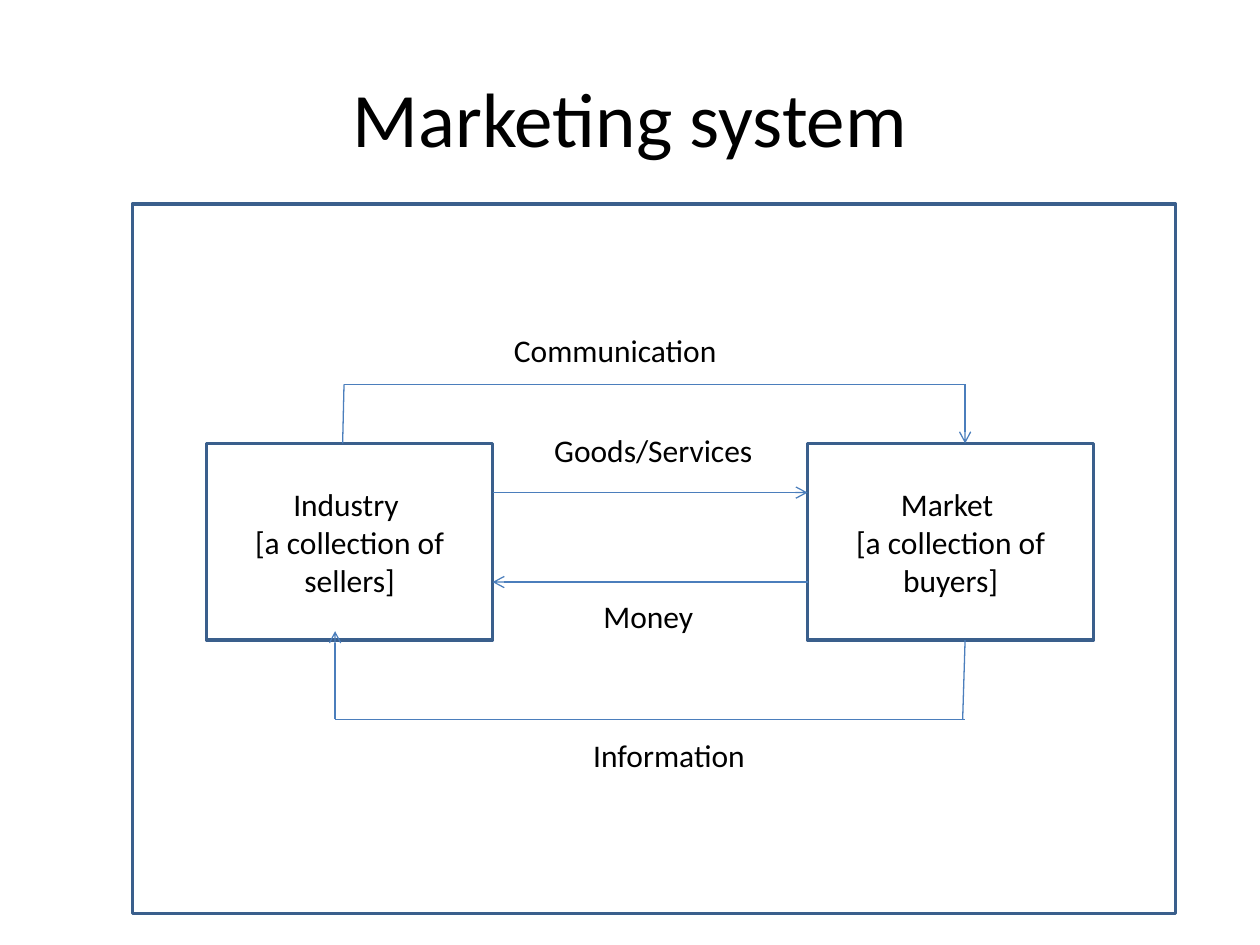
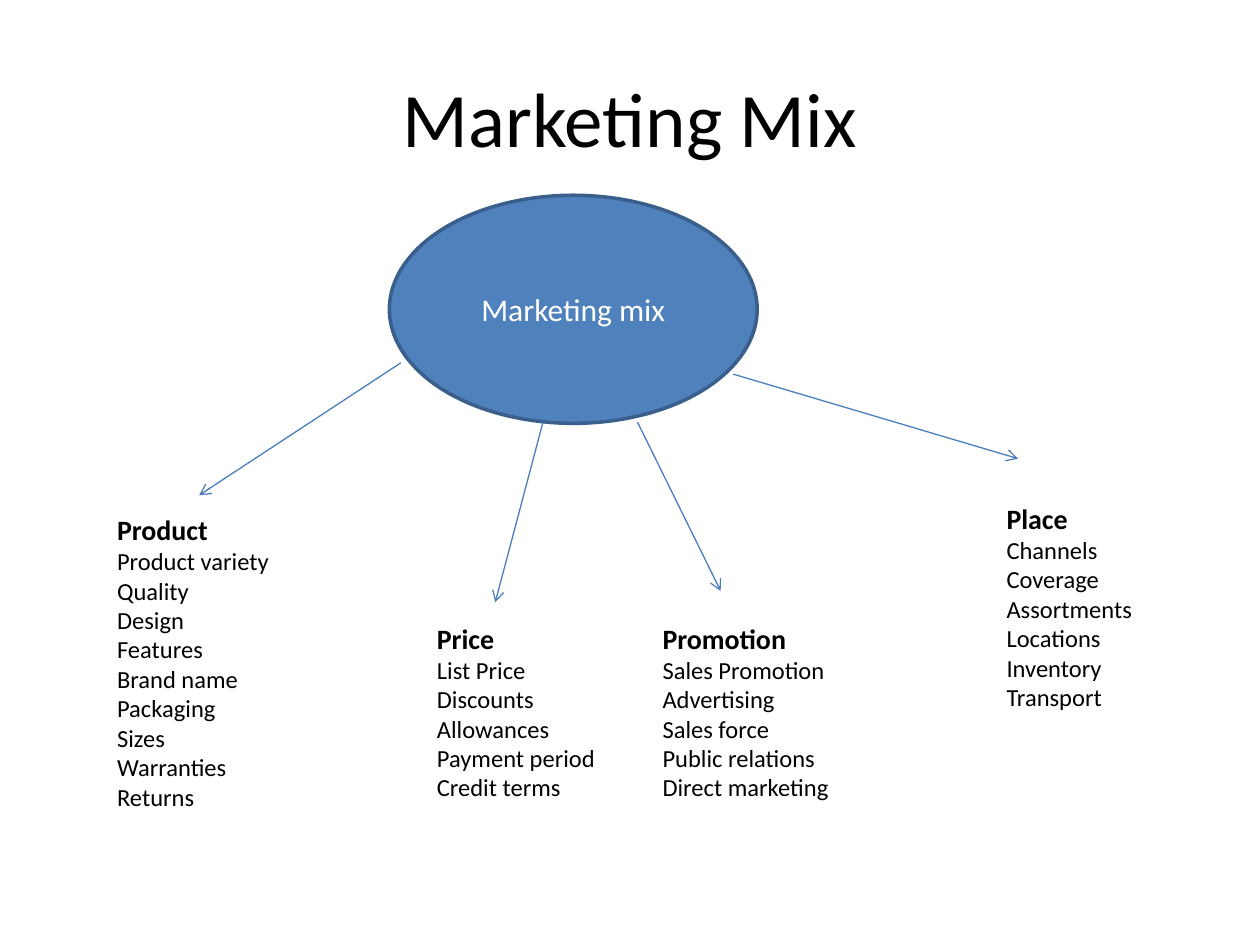
from dataclasses import dataclass

from lxml import etree
from pptx import Presentation
from pptx.dml.color import RGBColor
from pptx.enum.shapes import MSO_CONNECTOR, MSO_SHAPE
from pptx.enum.text import MSO_ANCHOR, PP_ALIGN
from pptx.oxml.ns import qn
from pptx.util import Pt


@dataclass(frozen=True)
class Theme:
    font: str = "Calibri"
    ink: RGBColor = RGBColor(0x00, 0x00, 0x00)
    paper: RGBColor = RGBColor(0xFF, 0xFF, 0xFF)
    accent: RGBColor = RGBColor(0x4F, 0x81, 0xBD)
    border: RGBColor = RGBColor(0x3A, 0x5F, 0x8C)
    arrow: RGBColor = RGBColor(0x4B, 0x7E, 0xBC)
    title: int = 44
    body: int = 18
    heading: int = 16
    item: int = 14
    border_width: float = 2
    arrow_width: float = 0.75


theme = Theme()


def write(tf, lines, size, color=theme.ink, align=PP_ALIGN.LEFT, anchor=MSO_ANCHOR.TOP):
    tf.word_wrap = True
    tf.vertical_anchor = anchor
    tf.text = "\n".join(lines)
    for p in tf.paragraphs:
        p.alignment = align
        for r in p.runs:
            r.font.name, r.font.size = theme.font, Pt(size)
            r.font.color.rgb = color


def add_line(s, x1, y1, x2, y2, arrow=True):
    c = s.shapes.add_connector(MSO_CONNECTOR.STRAIGHT, Pt(x1), Pt(y1), Pt(x2), Pt(y2))
    c.line.color.rgb = theme.arrow
    c.line.width = Pt(theme.arrow_width)
    if arrow:
        etree.SubElement(c.line._get_or_add_ln(), qn("a:tailEnd"), type="arrow")
    etree.SubElement(c._element.spPr, qn("a:effectLst"))


prs = Presentation()
prs.slide_width, prs.slide_height = Pt(720), Pt(540)

# Slides and titles
for title in ("Marketing system", "Marketing Mix"):
    s = prs.slides.add_slide(prs.slide_layouts[5])
    sp = s.shapes.title
    sp.left, sp.top, sp.width, sp.height = Pt(36), Pt(21.6), Pt(648), Pt(90)
    write(sp.text_frame, [title], theme.title, align=PP_ALIGN.CENTER, anchor=MSO_ANCHOR.MIDDLE)
system, mix = prs.slides

# Frame, the two parties and the mix ellipse
box_top, box_width, box_height = 253.4, 163.4, 112.4
box_bottom = box_top + box_height
industry_left, market_left = 118.1, 461.5
industry_right = industry_left + box_width
nodes = [
    (system, MSO_SHAPE.RECTANGLE, (75.6, 116.6, 596.2, 405.4), theme.paper, theme.ink, []),
    (system, MSO_SHAPE.RECTANGLE, (industry_left, box_top, box_width, box_height),
     theme.paper, theme.ink, ["Industry ", "[a collection of sellers]"]),
    (system, MSO_SHAPE.RECTANGLE, (market_left, box_top, box_width, box_height),
     theme.paper, theme.ink, ["Market ", "[a collection of buyers]"]),
    (mix, MSO_SHAPE.OVAL, (222.5, 111.6, 210.2, 130.3),
     theme.accent, theme.paper, ["Marketing mix"]),
]
for s, preset, place, fill, color, lines in nodes:
    sp = s.shapes.add_shape(preset, *map(Pt, place))
    sp.shadow.inherit = False
    sp.fill.solid()
    sp.fill.fore_color.rgb = fill
    sp.line.color.rgb = theme.border
    sp.line.width = Pt(theme.border_width)
    if lines:
        write(sp.text_frame, lines, theme.body, color, PP_ALIGN.CENTER, MSO_ANCHOR.MIDDLE)

# Flows between industry and market
upper, lower = 219.6, 411.1
goods, money = 281.5, 332.6
out_x, in_x, market_x = 196.6, 191.5, 551.5
add_line(system, out_x, upper, 195.8, box_top, arrow=False)
add_line(system, out_x, upper, market_x, upper, arrow=False)
add_line(system, market_x, box_bottom, 550.1, lower, arrow=False)
add_line(system, market_x, upper, market_x, box_top)
add_line(system, in_x, lower, market_x, lower, arrow=False)
add_line(system, in_x, lower, in_x, 360.7)
add_line(system, industry_right, goods, market_left, goods)
add_line(system, market_left, money, industry_right, money)

flow_labels = [
    ("Communication", 286.6, 185.8, 180),
    ("Goods/Services", 309.6, 242.6, 140.4),
    ("Money", 337.7, 337.7, 78.5),
    ("Information", 331.9, 416.9, 135.4),
]
for label, left, top, width in flow_labels:
    sp = system.shapes.add_textbox(Pt(left), Pt(top), Pt(width), Pt(28.8))
    write(sp.text_frame, [label], theme.body)

# The four Ps: arrow, text place, heading and items
columns = [
    ((229, 207.4, 113.8, 283), (59.8, 289.4, 128.9, 218.9),
     ["Product", "Product variety", "Quality", "Design", "Features", "Brand name",
      "Packaging", "Sizes", "Warranties", "Returns"]),
    ((310.3, 241.2, 283, 344.2), (242.6, 351.4, 115.2, 156.2),
     ["Price", "List Price", "Discounts", "Allowances", "Payment period", "Credit terms"]),
    ((364.3, 241.2, 411.8, 337.7), (371.5, 351.4, 142.6, 136.1),
     ["Promotion", "Sales Promotion", "Advertising", "Sales force", "Public relations",
      "Direct marketing"]),
    ((419, 213.8, 581.8, 262.1), (568.1, 283, 115.2, 156.2),
     ["Place", "Channels", "Coverage", "Assortments", "Locations", "Inventory", "Transport"]),
]
for ends, place, lines in columns:
    add_line(mix, *ends)
    tf = mix.shapes.add_textbox(*map(Pt, place)).text_frame
    write(tf, lines, theme.item)
    heading = tf.paragraphs[0].runs[0].font
    heading.size, heading.bold = Pt(theme.heading), True

prs.save("out.pptx")
